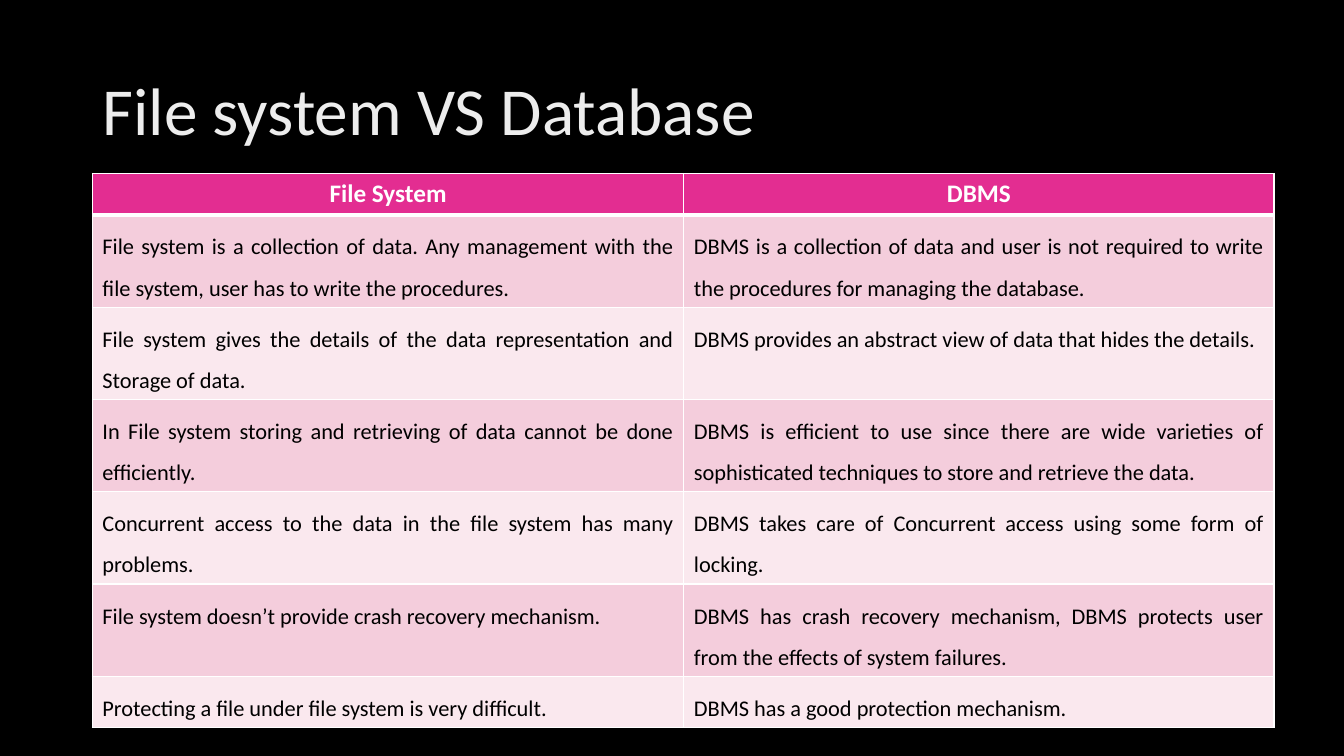
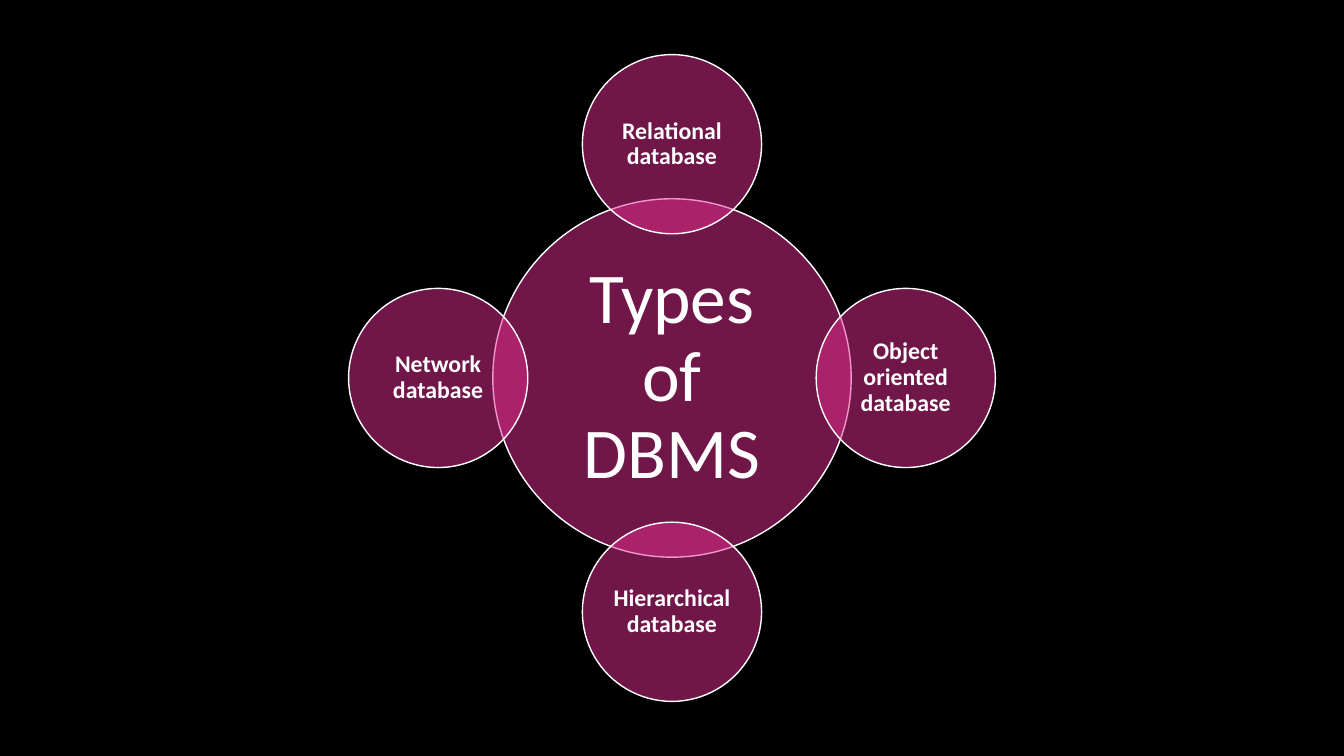
from dataclasses import dataclass

from lxml.etree import SubElement
from pptx import Presentation
from pptx.dml.color import RGBColor
from pptx.enum.shapes import MSO_SHAPE
from pptx.enum.text import MSO_ANCHOR, PP_ALIGN
from pptx.oxml.ns import qn
from pptx.slide import Slide
from pptx.table import _Cell
from pptx.text.text import TextFrame
from pptx.util import Pt

OVAL = MSO_SHAPE.OVAL
MIDDLE = MSO_ANCHOR.MIDDLE
LEFT, CENTER, JUSTIFY = PP_ALIGN.LEFT, PP_ALIGN.CENTER, PP_ALIGN.JUSTIFY

BLACK = RGBColor(0x00, 0x00, 0x00)
WHITE = RGBColor(0xFF, 0xFF, 0xFF)
TITLE_GRAY = RGBColor(0xED, 0xED, 0xED)
PINK = RGBColor(0xE3, 0x2D, 0x91)
ROW_FILLS = (RGBColor(0xF4, 0xCD, 0xDC), RGBColor(0xFA, 0xE8, 0xEE))
FONT = "Calibri"

PAGE_WIDTH, PAGE_HEIGHT = 960, 540
TITLE_ONLY, BLANK = 5, 6
THIN, THICK = 1, 3

COLUMN_WIDTHS = (422.5, 421.5)
ROW_HEIGHTS = (29.5, 65.5, 65.5, 65.5, 65.5, 65.5, 36)
COMPARISON = (
    ("File System", "DBMS"),
    (
        "File system is a collection of data. Any management with the file system, "
        "user has to write the procedures.",
        "DBMS is a collection of data and user is not required to write the "
        "procedures for managing the database.",
    ),
    (
        "File system gives the details of the data representation and Storage of data.",
        "DBMS provides an abstract view of data that hides the details.",
    ),
    (
        "In File system storing and retrieving of data cannot be done efficiently.",
        "DBMS is efficient to use since there are wide varieties of sophisticated "
        "techniques to store and retrieve the data.",
    ),
    (
        "Concurrent access to the data in the file system has many problems.",
        "DBMS takes care of Concurrent access using some form of locking.",
    ),
    (
        "File system doesn’t provide crash recovery mechanism.",
        "DBMS has crash recovery mechanism, DBMS protects user from the effects of "
        "system failures.",
    ),
    (
        "Protecting a file under file system is very difficult.",
        "DBMS has a good protection mechanism.",
    ),
)


@dataclass(frozen=True)
class Circle:
    """A labelled circle, placed by its offset from the page centre."""

    label: str
    across: float = 0
    down: float = 0
    diameter: float = 128
    size: float = 17
    bold: bool = True
    inset: float = 1.5


ORBIT = 167
CIRCLES = (
    Circle("Types of DBMS", diameter=256, size=51, bold=False, inset=8),
    Circle("Relational database", down=-ORBIT),
    Circle("Object oriented database", across=ORBIT),
    Circle("Hierarchical database", down=ORBIT),
    Circle("Network database", across=-ORBIT),
)


def write(frame: TextFrame, text: str, *, size: float, color: RGBColor,
          align: PP_ALIGN, bold: bool = False, spacing: float = 1.0) -> None:
    """Fill a text frame with one formatted paragraph."""
    frame.word_wrap = True
    para = frame.paragraphs[0]
    para.alignment = align
    para.line_spacing = spacing
    span = para.add_run()
    span.text = text
    span.font.name = FONT
    span.font.size = Pt(size)
    span.font.bold = bold
    span.font.color.rgb = color


def set_borders(cell: _Cell, top: float, bottom: float) -> None:
    """Give a cell white borders of the given widths."""
    properties = cell._tc.get_or_add_tcPr()
    for side, width in (("L", THIN), ("R", THIN), ("T", top), ("B", bottom)):
        line = SubElement(properties, qn(f"a:ln{side}"), w=str(Pt(width)))
        fill = SubElement(line, qn("a:solidFill"))
        SubElement(fill, qn("a:srgbClr"), val=str(WHITE))


def add_title(page: Slide, text: str) -> None:
    """Place and format the title placeholder."""
    title = page.shapes.title
    title.left, title.top, title.width, title.height = Pt(66), Pt(29), Pt(487), Pt(104)
    title.text_frame.vertical_anchor = MIDDLE
    write(title.text_frame, text, size=48, color=TITLE_GRAY, align=LEFT, spacing=0.9)


def add_comparison(page: Slide) -> None:
    """Draw the comparison table."""
    table = page.shapes.add_table(
        len(COMPARISON), len(COLUMN_WIDTHS), Pt(66), Pt(124),
        Pt(sum(COLUMN_WIDTHS)), Pt(sum(ROW_HEIGHTS))).table
    for column, width in zip(table.columns, COLUMN_WIDTHS):
        column.width = Pt(width)
    for index, (row, height, texts) in enumerate(
            zip(table.rows, ROW_HEIGHTS, COMPARISON)):
        row.height = Pt(height)
        header = index == 0
        for cell, text in zip(row.cells, texts):
            set_borders(cell, top=THICK if index == 1 else THIN,
                        bottom=THICK if header else THIN)
            cell.fill.solid()
            cell.fill.fore_color.rgb = PINK if header else ROW_FILLS[(index - 1) % 2]
            if header:
                write(cell.text_frame, text, size=18, color=WHITE, align=CENTER, bold=True)
            else:
                write(cell.text_frame, text, size=16, color=BLACK, align=JUSTIFY, spacing=1.5)


def add_circle(page: Slide, circle: Circle) -> None:
    """Draw a half-transparent circle with its label."""
    radius = circle.diameter / 2
    shape = page.shapes.add_shape(
        OVAL, Pt(PAGE_WIDTH / 2 + circle.across - radius),
        Pt(PAGE_HEIGHT / 2 + circle.down - radius),
        Pt(circle.diameter), Pt(circle.diameter))
    shape.shadow.inherit = False
    shape.fill.solid()
    shape.fill.fore_color.rgb = PINK
    color = shape.element.spPr.find(f"{qn('a:solidFill')}/{qn('a:srgbClr')}")
    SubElement(color, qn("a:alpha"), val="50000")
    shape.line.color.rgb = WHITE
    shape.line.width = Pt(THIN)
    frame = shape.text_frame
    frame.vertical_anchor = MIDDLE
    frame.margin_left = frame.margin_right = Pt(circle.inset)
    frame.margin_top = frame.margin_bottom = Pt(circle.inset)
    write(frame, circle.label, size=circle.size, color=WHITE, align=CENTER,
          bold=circle.bold, spacing=0.9)


def main() -> None:
    """Build and save the deck."""
    deck = Presentation()
    deck.slide_width, deck.slide_height = Pt(PAGE_WIDTH), Pt(PAGE_HEIGHT)
    background = deck.slide_master.background.fill
    background.solid()
    background.fore_color.rgb = BLACK

    comparison = deck.slides.add_slide(deck.slide_layouts[TITLE_ONLY])
    add_title(comparison, "File system VS Database")
    add_comparison(comparison)

    types = deck.slides.add_slide(deck.slide_layouts[BLANK])
    for circle in CIRCLES:
        add_circle(types, circle)

    deck.save("out.pptx")


if __name__ == "__main__":
    main()
